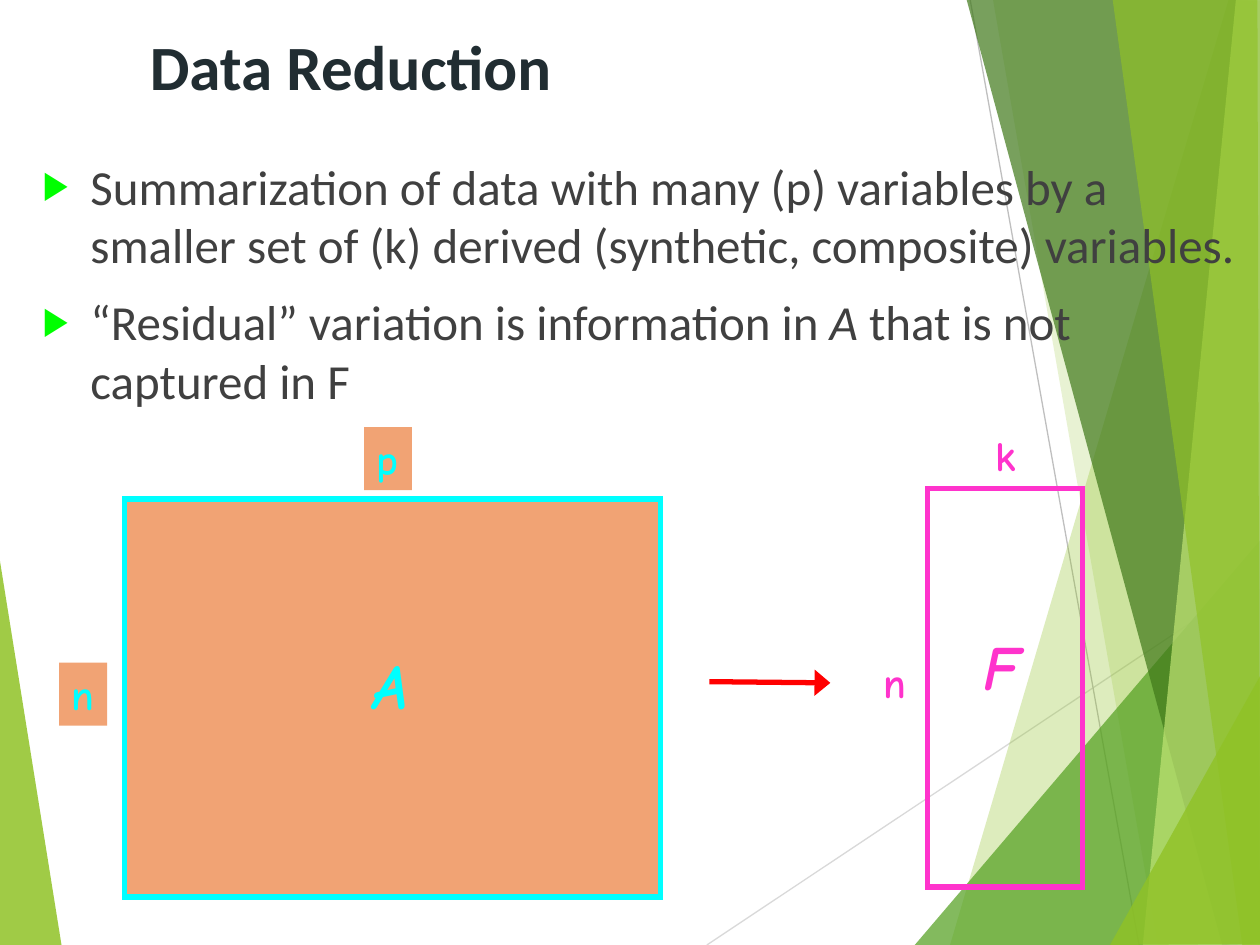
import pptx
import pptx.util
import pptx.dml.color
import pptx.enum.shapes
import pptx.enum.text
import pptx.oxml
import pptx.oxml.ns
import lxml.etree

COLORS = {
    "lime": "90C226", "green": "54A021", "forest": "3F7819", "pale": "C0E474",
    "light_gray": "D9D9D9", "gray": "BFBFBF", "title": "212D32", "body": "404040",
    "bullet": "00FF00", "red": "FF0000", "orange": "F1A374", "cyan": "00FFFF",
    "magenta": "FF33CC",
}
RGB = {name: pptx.dml.color.RGBColor.from_string(value) for name, value in COLORS.items()}
Inches = pptx.util.Inches
qn = pptx.oxml.ns.qn

presentation = pptx.Presentation()
presentation.slide_width = Inches(10)
presentation.slide_height = Inches(7.5)
slide = presentation.slides.add_slide(presentation.slide_layouts[6])


def add_line(start, end, color, width):
    line = slide.shapes.add_connector(
        pptx.enum.shapes.MSO_CONNECTOR.STRAIGHT, *map(Inches, start + end))
    line.line.color.rgb = RGB[color]
    line.line.width = pptx.util.Pt(width)
    lxml.etree.SubElement(line._element.spPr, qn("a:effectLst"))
    return line


def add_run(paragraph, text, font, size, color, bold=False, italic=False):
    run = paragraph.add_run()
    run.text = text
    run.font.name = font
    run.font.size = pptx.util.Pt(size)
    run.font.color.rgb = RGB[color]
    run.font.bold = bold
    run.font.italic = italic


facets = [
    ("lime", 85, [(-1, 439), (49, 751), (-1, 750)]),
    ("lime", 30, [(975, 0), (754, 750), (1002, 751), (1001, 1)]),
    ("lime", 20, [(788, -1), (919, 750), (1001, 750), (1001, -1)]),
    ("green", 72, [(726, 750), (1000, 429), (1001, 750)]),
    ("forest", 70, [(767, -1), (970, 750), (1001, 749), (1001, -1)]),
    ("pale", 70, [(981, -1), (907, 750), (1001, 750), (1000, -1)]),
    ("lime", 65, [(883, -1), (986, 750), (1000, 750), (998, -1)]),
    ("lime", 80, [(881, 750), (1001, 535), (1001, 749)]),
]
for index, (color, opacity, points) in enumerate(facets):
    if index == 1:
        add_line((5.61, 7.5), (10.01, 4.57), "light_gray", 0.75)
        add_line((7.7, 0), (9.04, 7.5), "gray", 0.75)
    builder = slide.shapes.build_freeform(*points[0], scale=Inches(0.01))
    builder.add_line_segments(points[1:], close=True)
    facet = builder.convert_to_shape()
    facet.shadow.inherit = False
    facet.line.fill.background()
    facet.fill.solid()
    facet.fill.fore_color.rgb = RGB[color]
    alpha = lxml.etree.SubElement(next(facet._element.spPr.iter(qn("a:srgbClr"))), qn("a:alpha"))
    alpha.set("val", str(opacity * 1000))

title = slide.shapes.add_textbox(*map(Inches, (1.09, 0.17, 7.21, 0.97)))
title.text_frame.word_wrap = True
add_run(title.text_frame.paragraphs[0], "Data Reduction", "Calibri", 36, "title", bold=True)

body = slide.shapes.add_textbox(*map(Inches, (0.24, 1.19, 9.76, 2)))
body.text_frame.word_wrap = True
bullets = [
    [("Summarization of data with many (p) variables by a smaller set of (k) derived "
      "(synthetic, composite) variables.", False)],
    [("“Residual” variation is information in ", False), ("A", True),
     (" that is not captured in F", False)],
]
for index, runs in enumerate(bullets):
    paragraph = body.text_frame.add_paragraph() if index else body.text_frame.paragraphs[0]
    paragraph.space_before = pptx.util.Pt(10)
    properties = paragraph._p.get_or_add_pPr()
    properties.set("marL", str(Inches(0.38)))
    properties.set("indent", str(Inches(-0.38)))
    bullet_color = lxml.etree.SubElement(properties, qn("a:buClr"))
    lxml.etree.SubElement(bullet_color, qn("a:srgbClr")).set("val", COLORS["bullet"])
    lxml.etree.SubElement(properties, qn("a:buSzPct")).set("val", "80000")
    lxml.etree.SubElement(properties, qn("a:buFont")).set("typeface", "Calibri")
    lxml.etree.SubElement(properties, qn("a:buChar")).set("char", "▶")
    for text, italic in runs:
        add_run(paragraph, text, "Calibri", 28, "body", italic=italic)

arrow = add_line((5.63, 5.41), (6.59, 5.42), "red", 3)
arrowhead = lxml.etree.SubElement(arrow.line._get_or_add_ln(), qn("a:tailEnd"))
arrowhead.set("type", "triangle")
arrowhead.set("w", "lg")

matrices = [
    ((0.99, 3.96, 4.25, 3.16), "orange", "cyan", [
        ("n", (0.47, 5.26, 0.38, 0.5)),
        ("p", (2.89, 3.39, 0.38, 0.5)),
        ("A", (2.87, 5.08, 0.57, 0.7))]),
    ((7.36, 3.88, 1.23, 3.16), None, "magenta", [
        ("n", (6.91, 5.16, 0.38, 0.5)),
        ("k", (7.8, 3.36, 0.38, 0.5)),
        ("F", (7.71, 4.93, 0.51, 0.71))]),
]
for frame, fill, color, labels in matrices:
    for text, box in [("", frame)] + labels:
        shape = slide.shapes.add_shape(
            pptx.enum.shapes.MSO_SHAPE.RECTANGLE, *map(Inches, box))
        shape.shadow.inherit = False
        if fill:
            shape.fill.solid()
            shape.fill.fore_color.rgb = RGB[fill]
        else:
            shape.fill.background()
        if not text:
            shape.line.color.rgb = RGB[color]
            shape.line.width = pptx.util.Pt(3)
            corner = lxml.etree.SubElement(shape.line._get_or_add_ln(), qn("a:miter"))
            corner.set("lim", "800000")
            continue
        shape.line.fill.background()
        shape.text_frame.word_wrap = False
        shape.text_frame.vertical_anchor = pptx.enum.text.MSO_ANCHOR.TOP
        paragraph = shape.text_frame.paragraphs[0]
        paragraph.alignment = pptx.enum.text.PP_ALIGN.LEFT
        is_name = text.isupper()
        add_run(paragraph, text, "Comic Neue", 36 if is_name else 24, color, True, is_name)

presentation.save("out.pptx")
